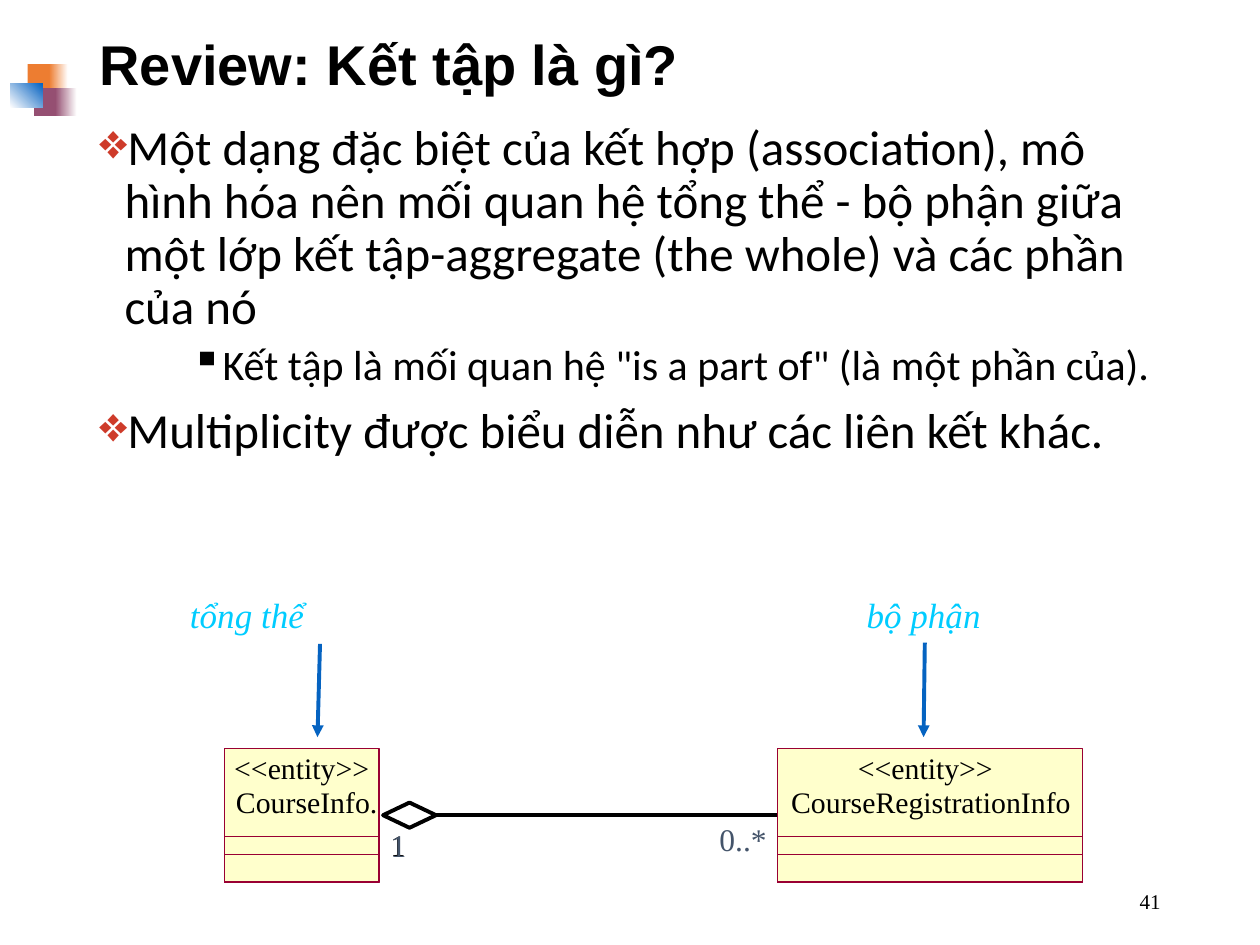
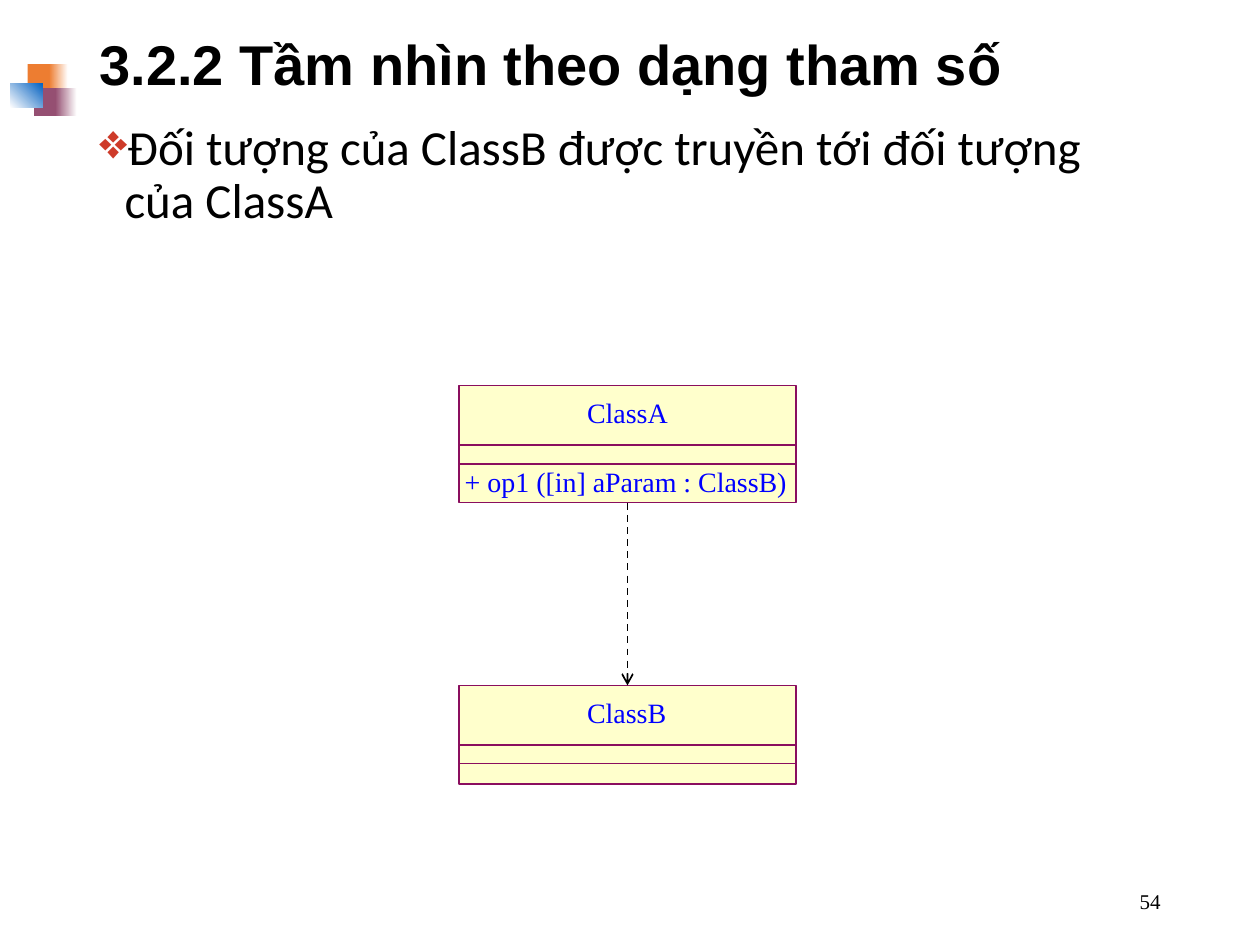
from dataclasses import dataclass

from lxml import etree
from pptx import Presentation
from pptx.dml.color import RGBColor
from pptx.enum.dml import MSO_LINE
from pptx.enum.shapes import MSO_CONNECTOR, MSO_SHAPE
from pptx.enum.text import MSO_ANCHOR, MSO_AUTO_SIZE, PP_ALIGN
from pptx.oxml.ns import qn
from pptx.util import Inches, Pt

RECT = MSO_SHAPE.RECTANGLE
STRAIGHT = MSO_CONNECTOR.STRAIGHT
DASH = MSO_LINE.DASH
LEFT, CENTER, RIGHT = PP_ALIGN.LEFT, PP_ALIGN.CENTER, PP_ALIGN.RIGHT
TOP, MIDDLE = MSO_ANCHOR.TOP, MSO_ANCHOR.MIDDLE
NO_FIT = MSO_AUTO_SIZE.NONE
TITLE_ONLY = 5
SERIF = "Times New Roman"
TITLE_FONT = "Arial"
BODY_FONT = "Calibri"

COLORS = {
    "black": "000000",
    "white": "FFFFFF",
    "orange": "ED7D31",
    "plum": "954F72",
    "blue": "0563C1",
    "bullet": "CE3B2A",
    "cyan": "00CCFF",
    "slate": "44546A",
    "class_fill": "FFFFCC",
    "entity_line": "990033",
    "class_line": "8A0E5E",
    "class_text": "0000FF",
}


@dataclass
class Square:
    left: float
    top: float
    width: float
    height: float
    start: str
    end: str = ""
    angle: float = 0


@dataclass
class Label:
    text: str
    left: float
    top: float
    width: float
    height: float
    size: float
    color: str = "black"
    align: PP_ALIGN = LEFT
    anchor: MSO_ANCHOR = TOP
    italic: bool = False
    wrap: bool = False
    inset: bool = False


@dataclass
class ClassBox:
    left: float
    top: float
    width: float
    height: float
    line: str
    weight: float
    labels: tuple[Label, ...]
    compartments: tuple[float, ...] = ()
    dividers: tuple[float, ...] = ()


@dataclass
class Bullet:
    text: str
    level: int = 0


@dataclass
class BulletStyle:
    mark: str
    color: str
    margin: float
    size: float
    before: float


BULLET_STYLES = (
    BulletStyle("❖", "bullet", 0.2, 28, 10),
    BulletStyle("▪", "black", 0.93, 24, 5),
)

SQUARES = (
    Square(0.22, 0.51, 0.2, 0.22, "orange"),
    Square(0.39, 0.51, 0.15, 0.22, "orange", "white"),
    Square(0.27, 0.7, 0.19, 0.22, "plum"),
    Square(0.44, 0.7, 0.17, 0.22, "plum", "white"),
    Square(0.08, 0.66, 0.26, 0.19, "white", "blue", 45),
)

REVIEW_BULLETS = (
    Bullet("Một dạng đặc biệt của kết hợp (association), mô hình hóa nên mối quan hệ "
           "tổng thể - bộ phận giữa một lớp kết tập-aggregate (the whole) và các phần của nó"),
    Bullet('Kết tập là mối quan hệ "is a part of" (là một phần của).', 1),
    Bullet("Multiplicity được biểu diễn như các liên kết khác."),
)
PARAMETER_BULLETS = (
    Bullet("Đối tượng của ClassB được truyền tới đối tượng của ClassA"),
)

ROLES = (
    Label("tổng thể", 1.41, 4.66, 2.36, 0.43, 20, "cyan", italic=True, wrap=True, inset=True),
    Label("bộ phận", 6.78, 4.66, 1.3, 0.44, 20, "cyan", italic=True, wrap=True, inset=True),
)
MULTIPLICITIES = (
    Label("1", 3.1, 6.56, 0.13, 0.28, 17),
    Label("0..*", 5.71, 6.51, 0.38, 0.3, 18, "slate"),
    Label("1", 3.1, 6.56, 0.14, 0.3, 18, "slate"),
)


def rgb(name: str) -> RGBColor:
    return RGBColor.from_string(COLORS[name])


def add_rect(s, left: float, top: float, width: float, height: float):
    sp = s.shapes.add_shape(RECT, Inches(left), Inches(top), Inches(width), Inches(height))
    sp.shadow.inherit = False
    return sp


def draw_square(s, square: Square) -> None:
    sp = add_rect(s, square.left, square.top, square.width, square.height)
    sp.line.fill.background()
    if not square.end:
        sp.fill.solid()
        sp.fill.fore_color.rgb = rgb(square.start)
        return
    sp.fill.gradient()
    sp.fill.gradient_angle = square.angle
    for stop, color in zip(sp.fill.gradient_stops, (square.start, square.end)):
        stop.color.rgb = rgb(color)


def draw_label(s, label: Label) -> None:
    sp = s.shapes.add_textbox(Inches(label.left), Inches(label.top),
                              Inches(label.width), Inches(label.height))
    tf = sp.text_frame
    tf.text = label.text
    tf.word_wrap = label.wrap
    tf.vertical_anchor = label.anchor
    if not label.inset:
        tf.margin_left = tf.margin_right = tf.margin_top = tf.margin_bottom = 0
    p = tf.paragraphs[0]
    p.alignment = label.align
    font = p.runs[0].font
    font.name, font.size, font.italic = SERIF, Pt(label.size), label.italic
    font.color.rgb = rgb(label.color)


def draw_line(s, start: tuple[float, float], end: tuple[float, float],
              color: str, weight: float, head: str = "", dashed: bool = False):
    line = s.shapes.add_connector(STRAIGHT, Inches(start[0]), Inches(start[1]),
                                  Inches(end[0]), Inches(end[1]))
    line.line.color.rgb = rgb(color)
    line.line.width = Pt(weight)
    if dashed:
        line.line.dash_style = DASH
    if head:
        etree.SubElement(line.line._get_or_add_ln(), qn("a:tailEnd"), type=head)
    etree.SubElement(line._element.spPr, qn("a:effectLst"))
    return line


def draw_class(s, box: ClassBox):
    frame = add_rect(s, box.left, box.top, box.width, box.height)
    frame.fill.solid()
    frame.fill.fore_color.rgb = rgb("class_fill")
    outlines = [frame]
    for offset in box.compartments:
        sp = add_rect(s, box.left, box.top + offset, box.width, box.height - offset)
        sp.fill.background()
        outlines.append(sp)
    for sp in outlines:
        sp.line.color.rgb = rgb(box.line)
        sp.line.width = Pt(box.weight)
    for offset in box.dividers:
        y = box.top + offset
        draw_line(s, (box.left, y), (box.left + box.width, y), box.line, box.weight)
    for label in box.labels:
        draw_label(s, label)
    return frame


def draw_entity(s, left: float, width: float, name: Label, stereotype_left: float):
    stereotype = Label("<<entity>>", stereotype_left, 5.95, 1.11, 0.28, 17, align=CENTER)
    return draw_class(s, ClassBox(left, 5.94, width, 1.06, "entity_line", 0,
                                  (name, stereotype), compartments=(0.7, 0.84)))


def draw_plain_class(s, top: float, height: float, name: str, *operations: Label):
    label = Label(name, 4.66, top + 0.08, 0.65, 0.27, 16, "class_text")
    return draw_class(s, ClassBox(3.64, top, 2.68, height, "class_line", 1,
                                  (label, *operations), dividers=(0.47, 0.62)))


def draw_bullets(s, bullets: tuple[Bullet, ...]) -> None:
    sp = s.shapes.add_textbox(Inches(0.69), Inches(0.93), Inches(8.62), Inches(5.66))
    tf = sp.text_frame
    tf.word_wrap = True
    for i, bullet in enumerate(bullets):
        style = BULLET_STYLES[bullet.level]
        p = tf.add_paragraph() if i else tf.paragraphs[0]
        p.text = bullet.text
        p.level = bullet.level
        p.line_spacing = 0.9
        if i:
            p.space_before = Pt(style.before)
        pPr = p._p.get_or_add_pPr()
        pPr.set("marL", str(Inches(style.margin)))
        pPr.set("indent", str(Inches(-0.2)))
        color = etree.SubElement(pPr, qn("a:buClr"))
        etree.SubElement(color, qn("a:srgbClr"), val=COLORS[style.color])
        etree.SubElement(pPr, qn("a:buChar"), char=style.mark)
        font = p.runs[0].font
        font.name, font.size = BODY_FONT, Pt(style.size)
        font.color.rgb = rgb("black")


def new_slide(prs, title: str, number: str, bullets: tuple[Bullet, ...]):
    s = prs.slides.add_slide(prs.slide_layouts[TITLE_ONLY])
    for square in SQUARES:
        draw_square(s, square)
    sp = s.shapes.title
    sp.left, sp.top, sp.width, sp.height = Inches(0.69), Inches(0.13), Inches(8.62), Inches(0.81)
    tf = sp.text_frame
    tf.text = title
    tf.auto_size = NO_FIT
    tf.vertical_anchor = MIDDLE
    p = tf.paragraphs[0]
    p.alignment, p.line_spacing = LEFT, 0.9
    font = p.runs[0].font
    font.name, font.size, font.bold = TITLE_FONT, Pt(32), True
    font.color.rgb = rgb("black")
    draw_bullets(s, bullets)
    draw_label(s, Label(number, 7.06, 6.95, 2.25, 0.4, 12, align=RIGHT, anchor=MIDDLE,
                        wrap=True, inset=True))
    return s


def draw_diamond(s, left: float, middle: float, width: float, height: float) -> None:
    x, y = left + width / 2, middle
    builder = s.shapes.build_freeform(Inches(left), Inches(y))
    builder.add_line_segments([(Inches(x), Inches(y + height / 2)),
                               (Inches(left + width), Inches(y)),
                               (Inches(x), Inches(y - height / 2))], close=True)
    sp = builder.convert_to_shape()
    sp.shadow.inherit = False
    sp.fill.background()
    sp.line.color.rgb = rgb("black")
    sp.line.width = Pt(2.25)


def build_review(prs) -> None:
    s = new_slide(prs, "Review: Kết tập là gì?", "41", REVIEW_BULLETS)
    for role in ROLES:
        draw_label(s, role)
    draw_line(s, (2.54, 5.11), (2.52, 5.85), "blue", 2.25, "triangle")
    draw_line(s, (7.34, 5.1), (7.33, 5.85), "blue", 2.25, "triangle")
    part = draw_entity(s, 6.17, 2.42, Label("CourseRegistrationInfo", 6.27, 6.22, 2.24, 0.29,
                                            17, align=CENTER), 6.79)
    draw_entity(s, 1.78, 1.23, Label("CourseInfo.", 1.82, 6.22, 1.23, 0.29,
                                     17, align=CENTER, wrap=True), 1.84)
    association = draw_line(s, (6.17, 6.47), (3.46, 6.47), "black", 2.25)
    association.begin_connect(part, 1)
    for multiplicity in MULTIPLICITIES:
        draw_label(s, multiplicity)
    draw_diamond(s, 3.04, 6.47, 0.42, 0.2)


def build_parameter(prs) -> None:
    s = new_slide(prs, "3.2.2 Tầm nhìn theo dạng tham số", "54", PARAMETER_BULLETS)
    operation = Label("+ op1 ([in] aParam : ClassB)", 3.59, 3.64, 2.9, 0.37, 16, "class_text",
                      wrap=True, inset=True)
    class_a = draw_plain_class(s, 3.06, 0.93, "ClassA", operation)
    class_b = draw_plain_class(s, 5.44, 0.78, "ClassB")
    dependency = draw_line(s, (4.98, 3.99), (4.98, 5.44), "black", 1, "arrow", dashed=True)
    dependency.begin_connect(class_a, 2)
    dependency.end_connect(class_b, 0)


def main() -> None:
    prs = Presentation()
    prs.slide_width, prs.slide_height = Inches(10), Inches(7.5)
    build_review(prs)
    build_parameter(prs)
    prs.save("out.pptx")


if __name__ == "__main__":
    main()
